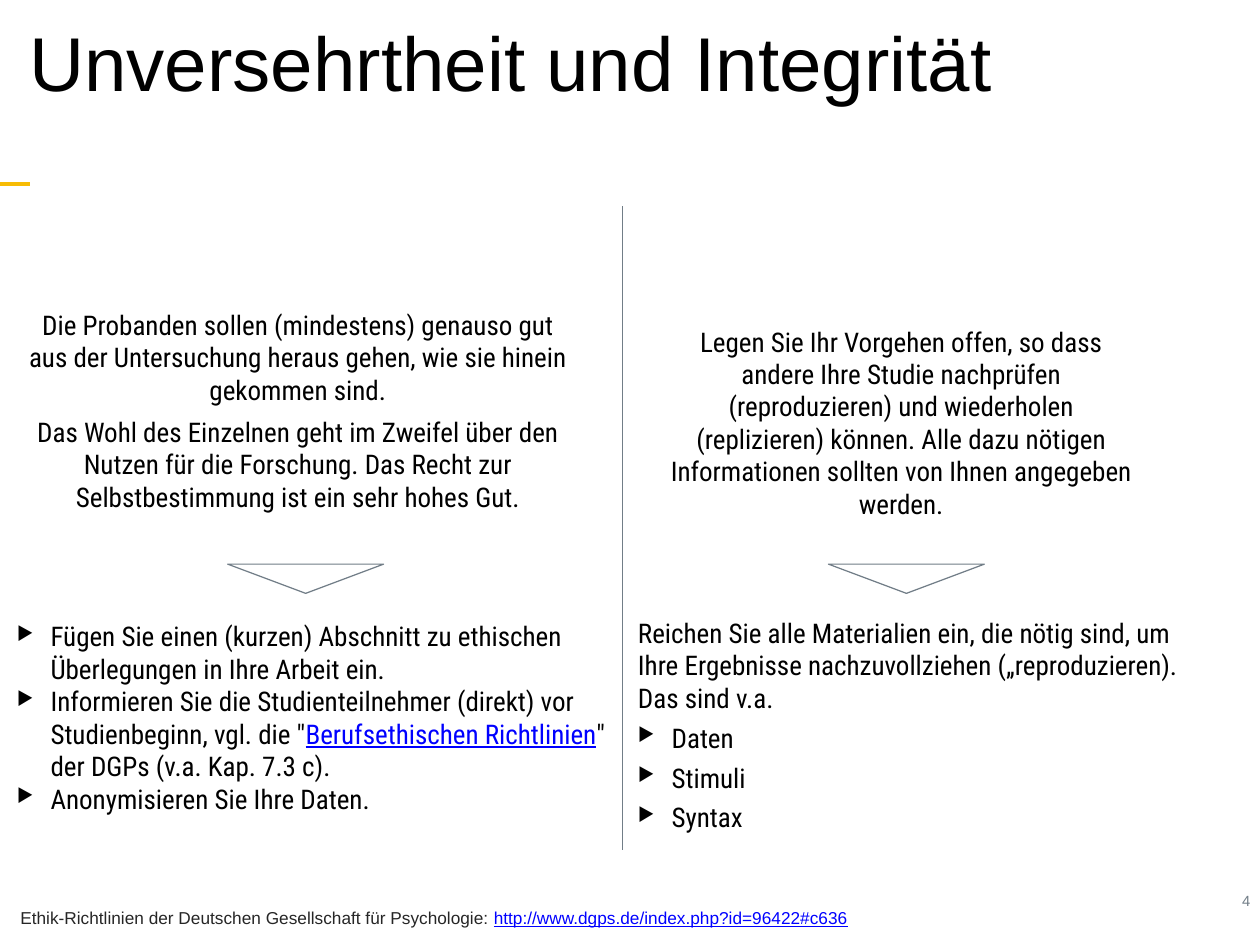
from lxml import etree
from pptx import Presentation
from pptx.dml.color import RGBColor as RGB
from pptx.enum.shapes import MSO_CONNECTOR as Conn
from pptx.enum.text import MSO_ANCHOR as Anchor, PP_ALIGN as Align
from pptx.oxml.ns import qn
from pptx.util import Inches, Pt

COLORS = {"ink": "000000", "note": "262626", "link": "0000FF",
          "gray": "717D87", "gold": "F7BC05", "white": "FFFFFF"}
WIDE, HIGH = 14.22, 10.67
BODY = {"name": "Roboto Condensed", "size": Pt(22)}
LEAD = {"alignment": Align.CENTER, "space_before": Pt(8)}


def color(key):
    return RGB.from_string(COLORS[key])


def apply(item, values):
    for key, value in values.items():
        setattr(item, key, value)


def indent(para, left, first):
    props = para._p.get_or_add_pPr()
    props.set("marL", str(Inches(left)))
    props.set("indent", str(Inches(first)))
    return props


def bullet(para):
    props = indent(para, 0.38, -0.38)
    etree.SubElement(props, qn("a:buSzPct")).set("val", "70000")
    etree.SubElement(props, qn("a:buChar")).set("char", "▶")


def add_text(slide, box, paras, font, ink="ink", pad=0.07):
    """Each paragraph is (runs, format, bulleted); each run is (text, linked)."""
    frame = slide.shapes.add_textbox(*map(Inches, box)).text_frame
    sides = ("left", "right", "top", "bottom")
    apply(frame, {f"margin_{side}": Inches(pad) for side in sides})
    frame.word_wrap = True
    for i, (runs, style, marked) in enumerate(paras):
        para = frame.add_paragraph() if i else frame.paragraphs[0]
        apply(para, style)
        if marked:
            bullet(para)
        for text, linked in runs:
            run = para.add_run()
            run.text = text
            apply(run.font, {**font, "underline": linked})
            run.font.color.rgb = color("link" if linked else ink)
    return frame


def plain(text, style={}, marked=False):
    return [(text, False)], style, marked


def add_line(slide, start, end, key, width):
    line = slide.shapes.add_connector(Conn.STRAIGHT, *map(Inches, start + end))
    line.line.color.rgb = color(key)
    line.line.width = Pt(width)
    etree.SubElement(line._element.spPr, qn("a:effectLst"))


def add_arrow(slide, box):
    x, y, w, h = map(Inches, box)
    build = slide.shapes.build_freeform(x, y)
    build.add_line_segments([(x + w, y), (x + w // 2, y + h)], close=True)
    shape = build.convert_to_shape()
    shape.shadow.inherit = False
    shape.fill.solid()
    shape.fill.fore_color.rgb = color("white")
    shape.line.color.rgb = color("gray")
    shape.line.width = Pt(1)


def header(slide, box):
    x, y, w, h = box
    frame = add_text(slide, (x, y, w, 1.55),
                     [plain("Unversehrtheit und Integrität", {"line_spacing": 0.9})],
                     {"name": "Arial", "size": Pt(62)}, pad=0.05)
    frame.vertical_anchor = Anchor.MIDDLE
    indent(frame.paragraphs[0], 0.14, 0.14)
    add_line(slide, (x, y + h), (x + 0.34, y + h), "gold", 3)


def column(slide, box, lead, lead_at, tip, tasks):
    """Lead text, arrow with its tip at the given offset, then the tasks."""
    x, y, w, h = box
    dx, dy, lw, lh = lead_at
    add_text(slide, (x + dx, y + dy, lw, lh), [plain(t, LEAD) for t in lead], BODY)
    add_arrow(slide, (x + tip - 0.88, 6.37, 1.76, 0.33))
    top = y + dy + 3.52 if len(lead) > 1 else y + dy + 3.29
    add_text(slide, (x, top, w, y + h - top), tasks, BODY)


def footer(slide, box):
    x, y, w, h = box
    source = [("Ethik-Richtlinien der Deutschen Gesellschaft für Psychologie: ", False),
              ("http://www.dgps.de/index.php?id=96422#c636", True)]
    add_text(slide, (x + 0.17, y + 0.18, 13.34, 0.33), [(source, {}, False)],
             {"name": "Arial", "size": Pt(14)}, "note", 0.06)
    add_text(slide, (x + w - 2.41, y, 2.37, 0.33),
             [plain("4", {"alignment": Align.RIGHT})],
             {"name": "Arial", "size": Pt(12)}, "gray")


def main():
    deck = Presentation()
    apply(deck, {"slide_width": Inches(WIDE), "slide_height": Inches(HIGH)})
    slide = deck.slides.add_slide(deck.slide_layouts[6])

    # Title and accent
    header(slide, (0, -0.02, WIDE, 2.1))

    # Left column: integrity of participants
    column(slide, (0.12, 2.33, 6.95, 6.83), [
        "Die Probanden sollen (mindestens) genauso gut aus der Untersuchung "
        "heraus gehen, wie sie hinein gekommen sind.",
        "Das Wohl des Einzelnen geht im Zweifel über den Nutzen für die Forschung. "
        "Das Recht zur Selbstbestimmung ist ein sehr hohes Gut.",
    ], (0.05, 1.08, 6.38, 2.34), 3.33, [
        plain("Fügen Sie einen (kurzen) Abschnitt zu ethischen Überlegungen "
              "in Ihre Arbeit ein.", marked=True),
        ([("Informieren Sie die Studienteilnehmer (direkt) vor Studienbeginn, "
           'vgl. die "', False), ("Berufsethischen Richtlinien", True),
          ('" der DGPs (v.a. Kap. 7.3 c).', False)], {}, True),
        plain("Anonymisieren Sie Ihre Daten.", marked=True),
    ])

    # Right column: integrity of the research
    column(slide, (7.13, 2.33, 6.52, 7.04), [
        "Legen Sie Ihr Vorgehen offen, so dass andere Ihre Studie nachprüfen "
        "(reproduzieren) und wiederholen (replizieren) können. Alle dazu nötigen "
        "Informationen sollten von Ihnen angegeben werden.",
    ], (0.31, 1.27, 5.46, 2.23), 3.1, [
        plain("Reichen Sie alle Materialien ein, die nötig sind, um Ihre Ergebnisse "
              "nachzuvollziehen („reproduzieren). Das sind v.a."),
        *[plain(item, {"space_before": Pt(6)}, True)
          for item in ("Daten", "Stimuli", "Syntax")],
    ])

    # Divider and footer
    add_line(slide, (7.02, 2.33), (7.02, 9.6), "gray", 0.25)
    footer(slide, (0, 10, WIDE, 0.67))
    deck.save("out.pptx")


if __name__ == "__main__":
    main()
